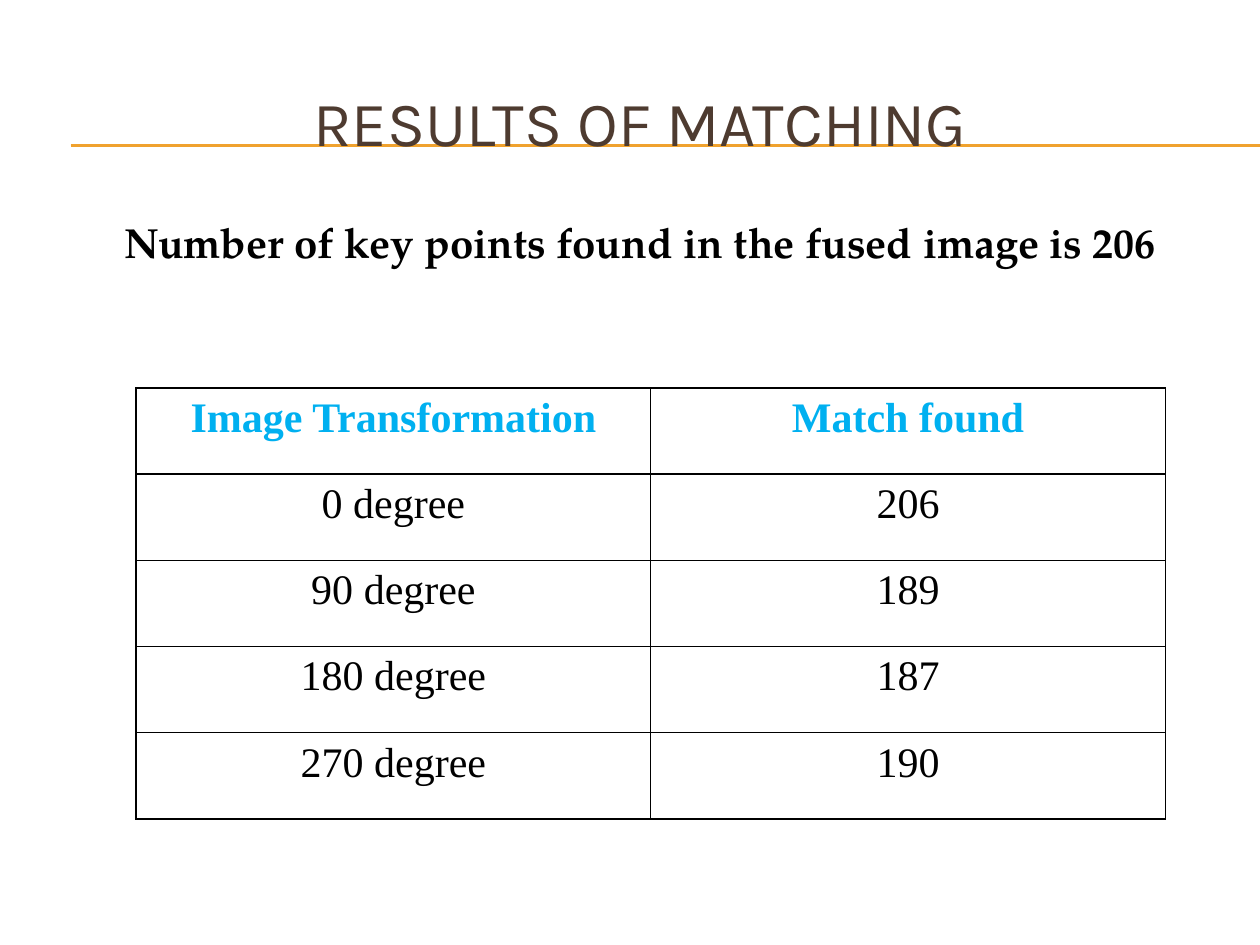
"""Build the slide that reports key point matching results."""
import dataclasses
import typing

import lxml.etree
import pptx
import pptx.dml.color
import pptx.enum.shapes
import pptx.enum.text
import pptx.oxml.ns
import pptx.util

Inches = pptx.util.Inches
RGBColor = pptx.dml.color.RGBColor
qn = pptx.oxml.ns.qn

BROWN = RGBColor(0x4E, 0x3B, 0x30)
ORANGE = RGBColor(0xF0, 0xA2, 0x2E)
SKY = RGBColor(0x00, 0xB0, 0xF0)
BLACK = RGBColor(0x00, 0x00, 0x00)


@dataclasses.dataclass(frozen=True)
class Match:
    transformation: str
    found: str


HEADER = Match("Image Transformation", "Match found")
MATCHES = [
    Match("0 degree", "206"),
    Match("90 degree", "189"),
    Match("180 degree", "187"),
    Match("270 degree", "190"),
]
RULE_HEIGHTS = (1.15, 1.16)


def write(frame: typing.Any, text: str, *, font: str, size: float, color: RGBColor,
          bold: bool = False, line_spacing: float = 1.0, space_after: float = 0) -> None:
    para = frame.paragraphs[0]
    para.alignment = pptx.enum.text.PP_ALIGN.CENTER
    para.line_spacing = line_spacing
    para.space_before = pptx.util.Pt(0)
    para.space_after = pptx.util.Pt(space_after)
    span = para.add_run()
    span.text = text
    span.font.name = font
    span.font.size = pptx.util.Pt(size)
    span.font.bold = bold
    span.font.color.rgb = color


def draw_rule(page: typing.Any, top: float) -> None:
    rule = page.shapes.add_connector(
        pptx.enum.shapes.MSO_CONNECTOR.STRAIGHT,
        Inches(0.56), Inches(top), Inches(10), Inches(top))
    rule.line.color.rgb = ORANGE
    rule.line.width = pptx.util.Pt(0.75)
    lxml.etree.SubElement(rule.element.spPr, qn("a:effectLst"))


def draw_borders(cell: typing.Any, color: RGBColor, width: float) -> None:
    properties = cell._tc.get_or_add_tcPr()
    for side in ("L", "R", "T", "B"):
        border = lxml.etree.SubElement(
            properties, qn(f"a:ln{side}"), w=str(pptx.util.Pt(width)))
        fill = lxml.etree.SubElement(border, qn("a:solidFill"))
        lxml.etree.SubElement(fill, qn("a:srgbClr"), val=str(color))


def draw_cell(cell: typing.Any, text: str, *, color: RGBColor, bold: bool) -> None:
    cell.margin_left = cell.margin_right = Inches(0.07)
    cell.margin_top = cell.margin_bottom = 0
    draw_borders(cell, BLACK, 1)
    cell.fill.background()
    write(cell.text_frame, text, font="Times New Roman", size=24, color=color,
          bold=bold, line_spacing=1.15, space_after=10)


def draw_matches(page: typing.Any) -> None:
    records = [HEADER, *MATCHES]
    table = page.shapes.add_table(
        len(records), 2, Inches(1.08), Inches(3.08), Inches(8.17), Inches(3.42)).table
    table.horz_banding = False
    for row, record in enumerate(records):
        is_header = record is HEADER
        for column, text in enumerate(dataclasses.astuple(record)):
            draw_cell(table.cell(row, column), text,
                      color=SKY if is_header else BLACK, bold=is_header)


def main() -> None:
    deck = pptx.Presentation()
    deck.slide_width, deck.slide_height = Inches(10), Inches(7.5)
    page = deck.slides.add_slide(deck.slide_layouts.get_by_name("Title Only"))

    title = page.shapes.title
    title.left, title.top = Inches(0.33), Inches(0.5)
    title.width, title.height = Inches(9.5), Inches(0.92)
    title.text_frame.auto_size = pptx.enum.text.MSO_AUTO_SIZE.NONE
    title.text_frame.vertical_anchor = pptx.enum.text.MSO_ANCHOR.MIDDLE
    write(title.text_frame, "RESULTS OF MATCHING", font="Karla", size=36, color=BROWN)

    for top in RULE_HEIGHTS:
        draw_rule(page, top)
    page.shapes._spTree.append(title.element)

    draw_matches(page)

    box = page.shapes.add_textbox(Inches(0.83), Inches(1.67), Inches(8.5), Inches(0.91))
    box.text_frame.word_wrap = True
    write(box.text_frame, "Number of key points found in the fused image is 206",
          font="TeX Gyre Pagella", size=24, color=BLACK, bold=True)

    deck.save("out.pptx")


if __name__ == "__main__":
    main()
